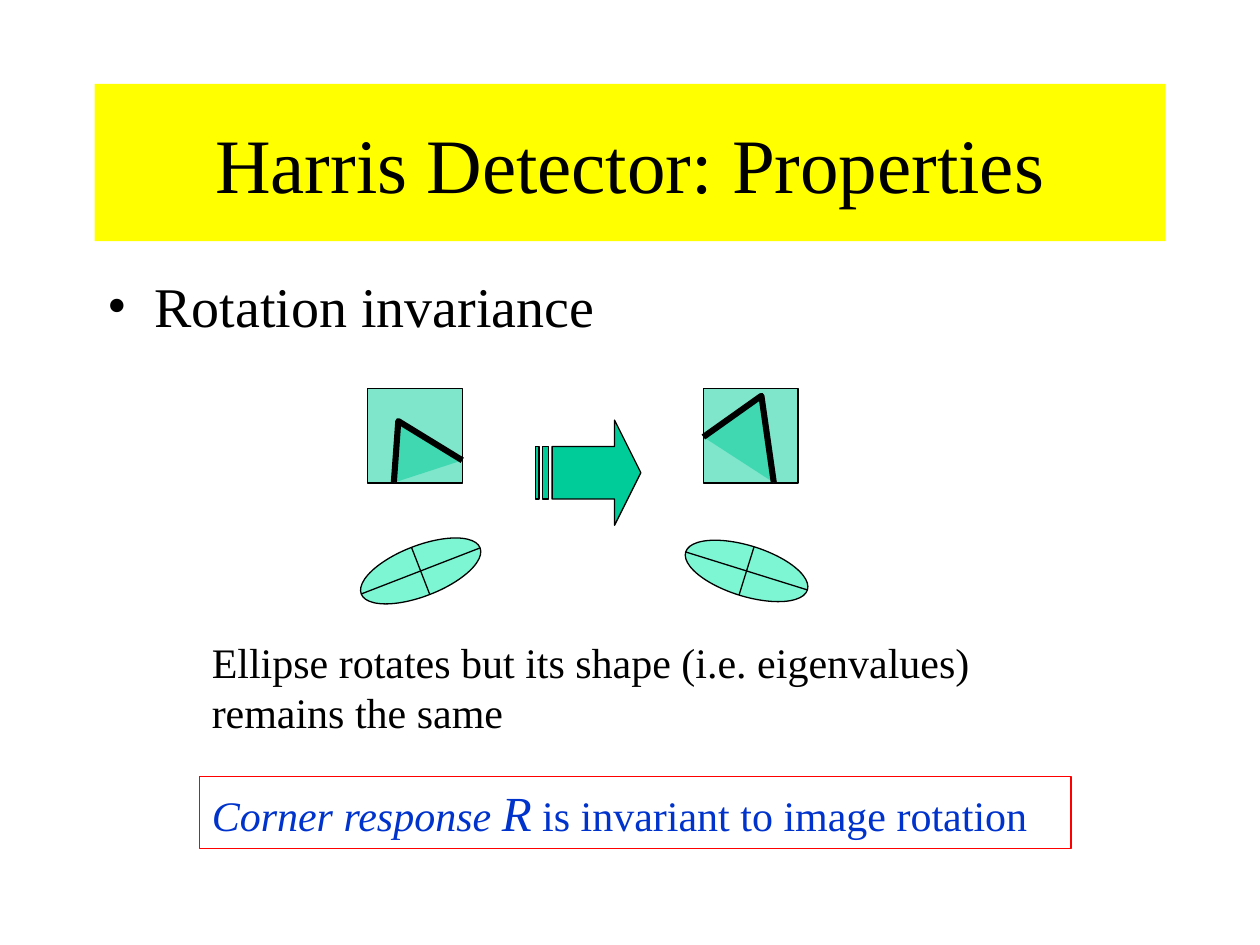
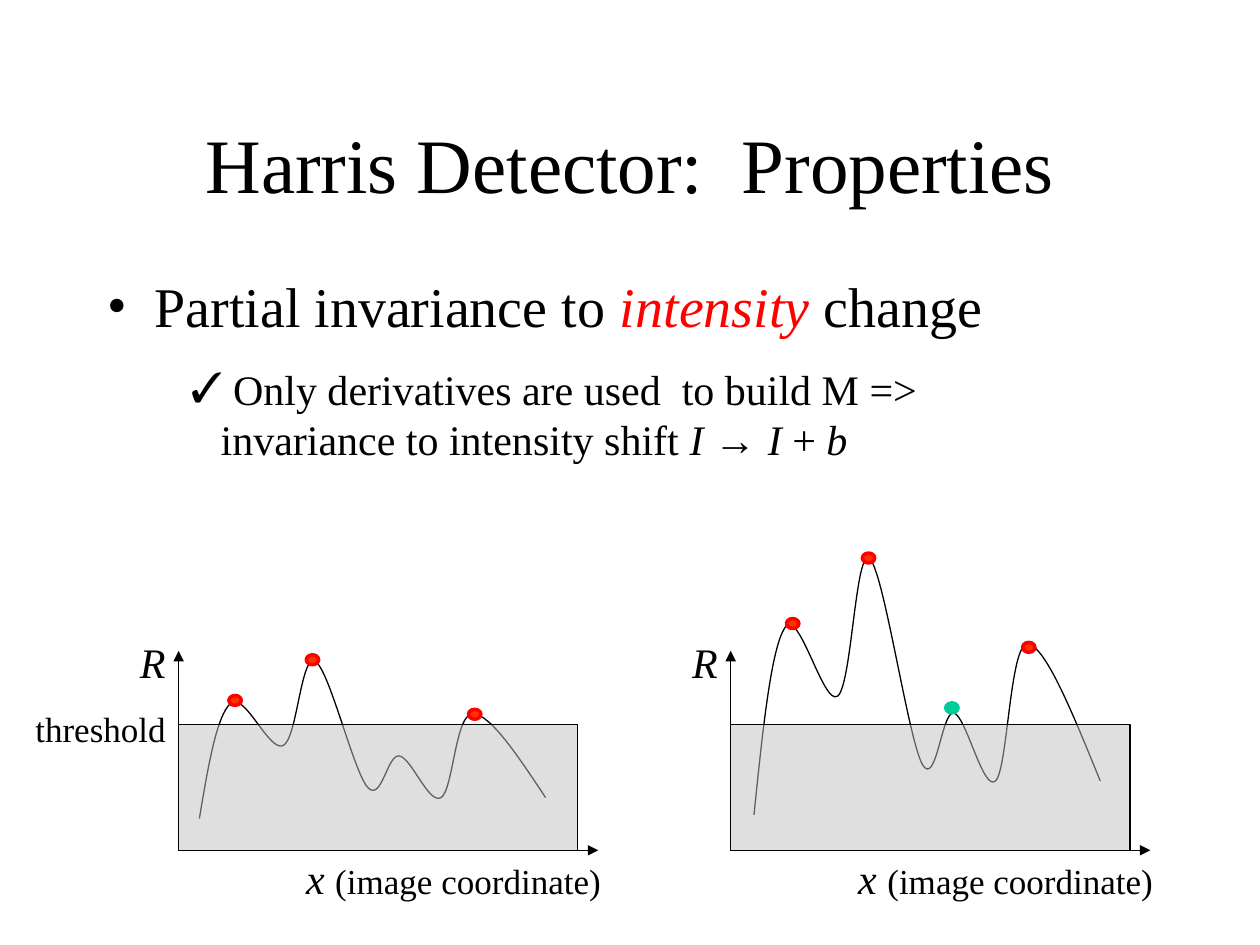
from dataclasses import dataclass
from math import cos, radians, sin

from lxml.etree import SubElement
from pptx import Presentation
from pptx.dml.color import RGBColor
from pptx.enum.shapes import MSO_CONNECTOR, MSO_SHAPE
from pptx.enum.text import MSO_ANCHOR, MSO_AUTO_SIZE, PP_ALIGN
from pptx.oxml.ns import qn
from pptx.util import Cm, Pt


@dataclass(frozen=True)
class Theme:
    font: str = "Times New Roman"
    symbol_font: str = "Arial"
    ink: str = "000000"
    band: str = "FFFF00"
    accent: str = "FF0000"
    peak: str = "FF3300"
    statement: str = "0033CC"
    green: str = "00CC99"
    mint: str = "7CF6D3"
    grey: str = "C0C0C0"
    title: int = 44
    bullet: int = 32
    symbol: int = 28
    text: int = 24
    label: int = 20
    thin: float = 0.75
    marker: float = 2
    thick: float = 3.5


THEME = Theme()
ITALIC = {"italic": True}

# Content: a text is a list of (words, format) runs; all lengths are in cm.
ROTATION = {
    "title": "Harris Detector: Properties",
    "bullet": [("Rotation invariance", {})],
    "note": [("Ellipse rotates but its shape (i.e. eigenvalues) remains the same", {})],
    "result": [
        ("Corner response ", {"italic": True, "color": THEME.statement}),
        ("R", {"italic": True, "color": THEME.statement, "size": THEME.symbol}),
        (" is invariant to image rotation", {"color": THEME.statement}),
    ],
    "patches": [
        {"left": 7.41, "corner": [(0.53, 1.9), (0.62, 0.66), (1.91, 1.45)]},
        {"left": 14.18, "corner": [(0, 0.98), (1.17, 0.15), (1.42, 1.9)]},
    ],
    "ellipses": [
        {"center": (8.48, 11.51), "angle": -21.2},
        {"center": (15.05, 11.51), "angle": 17.3},
    ],
}
INTENSITY = {
    "title": "Harris Detector:  Properties",
    "bullet": [
        ("Partial invariance to ", {}),
        ("intensity", {"italic": True, "color": THEME.accent}),
        (" change", {}),
    ],
    "check": [
        (" Only derivatives are used  to build M => invariance to intensity shift ", {}),
        ("I ", ITALIC),
        ("→ ", {"name": THEME.symbol_font}),
        ("I ", ITALIC),
        ("+ ", {}),
        ("b", ITALIC),
    ],
    "response": [("R", ITALIC)],
    "coordinate": [("x ", ITALIC), ("(image coordinate)", {"size": THEME.label})],
    "threshold": [("threshold", {"size": THEME.label})],
    # Knots and peaks are x + height * 1j, measured from the origin of the axes.
    "knots": [0.42 + 0.64j, 1.05 + 2.96j, 2.11 + 2.11j, 2.75 + 3.81j, 3.81 + 1.27j,
              4.45 + 1.9j, 5.29 + 1.06j, 5.93 + 2.75j, 7.4 + 1.06j],
    "plots": [
        {"origin": 3.6, "shift": 0, "gain": 1, "drop": 0,
         "peaks": [1.14 + 3.02j, 2.7 + 3.84j, 5.97 + 2.74j], "new_peaks": []},
        {"origin": 14.73, "shift": 0.05, "gain": 1.63, "drop": 0.33,
         "peaks": [1.25 + 4.57j, 2.78 + 5.89j, 6.01 + 4.09j],
         "new_peaks": [4.46 + 2.87j]},
    ],
}

PATCH_TOP, PATCH_SIDE = 7.83, 1.91
ELLIPSE_SIZE = (2.57, 1.02)
PLOT_BASE = 17.14
BAND_SIZE = (8.05, 2.54)
AXIS_ENDS = ((8.46, 0), (0, 4.02))
DOT_SIZE = (0.25, 0.2)


def write(frame, runs, size=THEME.text, align=PP_ALIGN.LEFT, bullet=None, indent=0,
          anchor=MSO_ANCHOR.TOP, wrap=True, spacing=1.0):
    for name, value in {"word_wrap": wrap, "vertical_anchor": anchor,
                        "auto_size": MSO_AUTO_SIZE.NONE}.items():
        setattr(frame, name, value)
    paragraph = frame.paragraphs[0]
    if bullet:
        properties = paragraph._p.get_or_add_pPr()
        properties.set("marL", str(Cm(indent)))
        properties.set("indent", str(-Cm(indent)))
        SubElement(properties, qn("a:buFont")).set("typeface", THEME.font)
        SubElement(properties, qn("a:buChar")).set("char", bullet)
    for name, value in {"alignment": align, "line_spacing": spacing,
                        "space_before": Pt(0)}.items():
        setattr(paragraph, name, value)
    for words, changes in runs:
        run = paragraph.add_run()
        run.text = words
        look = {"name": THEME.font, "size": size, "italic": False,
                "color": THEME.ink} | changes
        run.font.color.rgb = RGBColor.from_string(look.pop("color"))
        look["size"] = Pt(look["size"])
        for name, value in look.items():
            setattr(run.font, name, value)


def paint(shape, fill=None, line=THEME.ink, weight=THEME.thin, half_clear=False):
    shape.shadow.inherit = False
    if fill:
        shape.fill.solid()
        shape.fill.fore_color.rgb = RGBColor.from_string(fill)
    else:
        shape.fill.background()
    if half_clear:
        color = shape.element.spPr.find(f"{qn('a:solidFill')}/{qn('a:srgbClr')}")
        SubElement(color, qn("a:alpha")).set("val", "50000")
    shape.line.color.rgb = RGBColor.from_string(line)
    shape.line.width = Pt(weight)


def add_preset(slide, kind, left, top, width, height, **look):
    shape = slide.shapes.add_shape(kind, Cm(left), Cm(top), Cm(width), Cm(height))
    paint(shape, **look)
    return shape


def add_outline(slide, points, **look):
    first, *rest = [(Cm(x), Cm(y)) for x, y in points]
    builder = slide.shapes.build_freeform(*first)
    builder.add_line_segments(rest, close=False)
    shape = builder.convert_to_shape()
    paint(shape, **look)
    return shape


def add_line(slide, start, end, arrow=False):
    line = slide.shapes.add_connector(
        MSO_CONNECTOR.STRAIGHT, *(Cm(v) for v in (*start, *end)))
    line.line.color.rgb = RGBColor.from_string(THEME.ink)
    line.line.width = Pt(THEME.thin)
    if arrow:
        SubElement(line.line._ln, qn("a:tailEnd")).set("type", "triangle")
    SubElement(line.element.spPr, qn("a:effectLst"))


def add_text(slide, runs, left, top, width, height, **look):
    box = slide.shapes.add_textbox(Cm(left), Cm(top), Cm(width), Cm(height))
    write(box.text_frame, runs, **look)


def place(shape, left, top, width, height):
    for name, value in {"left": left, "top": top, "width": width, "height": height}.items():
        setattr(shape, name, Cm(value))


def start_slide(deck, content):
    slide = deck.slides.add_slide(deck.slide_layouts[1])
    title, body = slide.placeholders
    place(title, 1.91, 1.69, 21.59, 3.17)
    write(title.text_frame, [(content["title"], {})], THEME.title,
          PP_ALIGN.CENTER, anchor=MSO_ANCHOR.MIDDLE)
    place(body, 1.91, 5.5, 21.59, 1.48)
    write(body.text_frame, content["bullet"], THEME.bullet,
          bullet="•", indent=0.95, spacing=0.9)
    return slide


def add_patch(slide, left, corner):
    """Draw a square image window with the corner seen in it."""
    add_preset(slide, MSO_SHAPE.RECTANGLE, left, PATCH_TOP, PATCH_SIDE, PATCH_SIDE,
               fill=THEME.green, half_clear=True)
    add_outline(slide, [(left + x, PATCH_TOP + y) for x, y in corner],
                fill=THEME.green, weight=THEME.thick, half_clear=True)


def add_ellipse(slide, center, angle):
    """Draw a turned ellipse with its two axes."""
    (x, y), (width, height) = center, ELLIPSE_SIZE
    ellipse = add_preset(slide, MSO_SHAPE.OVAL, x - width / 2, y - height / 2,
                         width, height, fill=THEME.mint)
    ellipse.rotation = angle
    for length, turn in ((width, angle), (height, angle + 90)):
        dx, dy = length / 2 * cos(radians(turn)), length / 2 * sin(radians(turn))
        add_line(slide, (x - dx, y - dy), (x + dx, y + dy))


def add_curve(slide, knots):
    """Draw a Catmull-Rom curve with relaxed ends through the knots."""
    curve = add_outline(slide, [(knot.real, knot.imag) for knot in knots])
    inner = [(after - before) / 6 for before, after in zip(knots, knots[2:])]
    tangents = [(knots[1] - inner[0] - knots[0]) / 2, *inner,
                (knots[-1] - knots[-2] - inner[-1]) / 2]
    segments = curve.element.findall(f".//{qn('a:lnTo')}")
    for i, segment in enumerate(segments):
        segment.tag = qn("a:cubicBezTo")
        segment.clear()
        for point in (knots[i] + tangents[i], knots[i + 1] - tangents[i + 1], knots[i + 1]):
            node = SubElement(segment, qn("a:pt"))
            node.set("x", str(Cm(point.real) - curve.left))
            node.set("y", str(Cm(point.imag) - curve.top))


def add_plot(slide, content, origin, shift, gain, drop, peaks, new_peaks):
    add_curve(slide, [complex(origin + shift + knot.real,
                              PLOT_BASE + drop - gain * knot.imag)
                      for knot in content["knots"]])
    for dx, rise in AXIS_ENDS:
        add_line(slide, (origin, PLOT_BASE), (origin + dx, PLOT_BASE - rise), arrow=True)
    label = {"align": PP_ALIGN.CENTER, "wrap": False}
    add_text(slide, content["response"], origin - 1.03, 12.7, 1.02, 1.27, **label)
    add_text(slide, content["coordinate"], origin + 2.32, 17.06, 6.45, 1.27, **label)
    width, height = BAND_SIZE
    add_preset(slide, MSO_SHAPE.RECTANGLE, origin, PLOT_BASE - height, width, height,
               fill=THEME.grey, half_clear=True)
    if not new_peaks:
        add_text(slide, content["threshold"], origin - 3.13, 14.13, 3.12, 1.12, **label)
    for group, fill, line in ((peaks, THEME.peak, THEME.accent),
                              (new_peaks, THEME.green, THEME.green)):
        for peak in group:
            add_preset(slide, MSO_SHAPE.OVAL, origin + peak.real - DOT_SIZE[0] / 2,
                       PLOT_BASE - peak.imag - DOT_SIZE[1] / 2, *DOT_SIZE,
                       fill=fill, line=line, weight=THEME.marker)


def build_rotation(deck):
    slide = start_slide(deck, ROTATION)
    band = slide.shapes.title.fill
    band.solid()
    band.fore_color.rgb = RGBColor.from_string(THEME.band)
    for patch in ROTATION["patches"]:
        add_patch(slide, **patch)
    add_preset(slide, MSO_SHAPE.STRIPED_RIGHT_ARROW, 10.8, 8.47, 2.12, 2.12,
               fill=THEME.green).adjustments[1] = 0.25
    add_text(slide, ROTATION["note"], 4.02, 12.7, 15.88, 2.29)
    for ellipse in ROTATION["ellipses"]:
        add_ellipse(slide, **ellipse)
    result = add_preset(slide, MSO_SHAPE.RECTANGLE, 4.02, 15.66, 17.57, 1.45,
                        line=THEME.accent)
    write(result.text_frame, ROTATION["result"])


def build_intensity(deck):
    slide = start_slide(deck, INTENSITY)
    add_text(slide, INTENSITY["check"], 3.6, 7.2, 15.44, 2.29, bullet="✓", indent=0.6)
    for plot in INTENSITY["plots"]:
        add_plot(slide, INTENSITY, **plot)


def main():
    deck = Presentation()
    deck.slide_width, deck.slide_height = Cm(25.4), Cm(19.05)
    build_rotation(deck)
    build_intensity(deck)
    deck.save("out.pptx")


if __name__ == "__main__":
    main()
